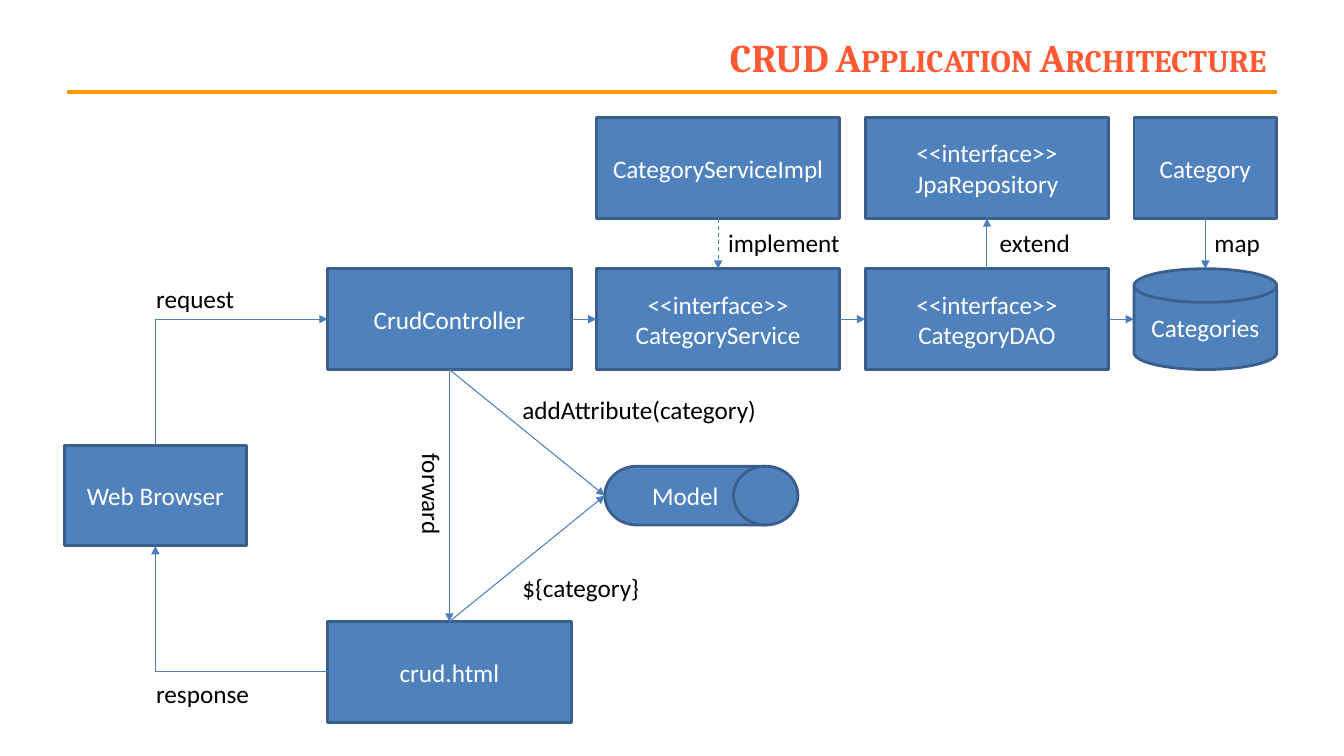
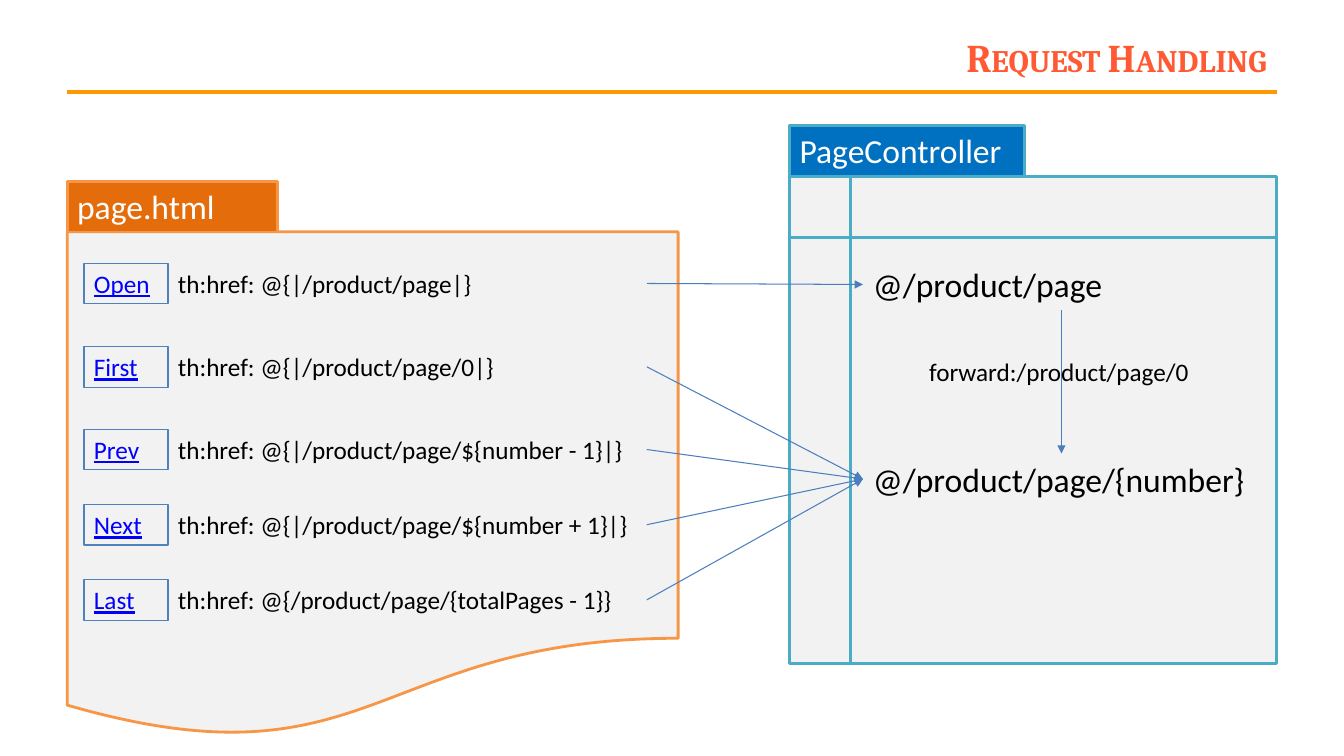
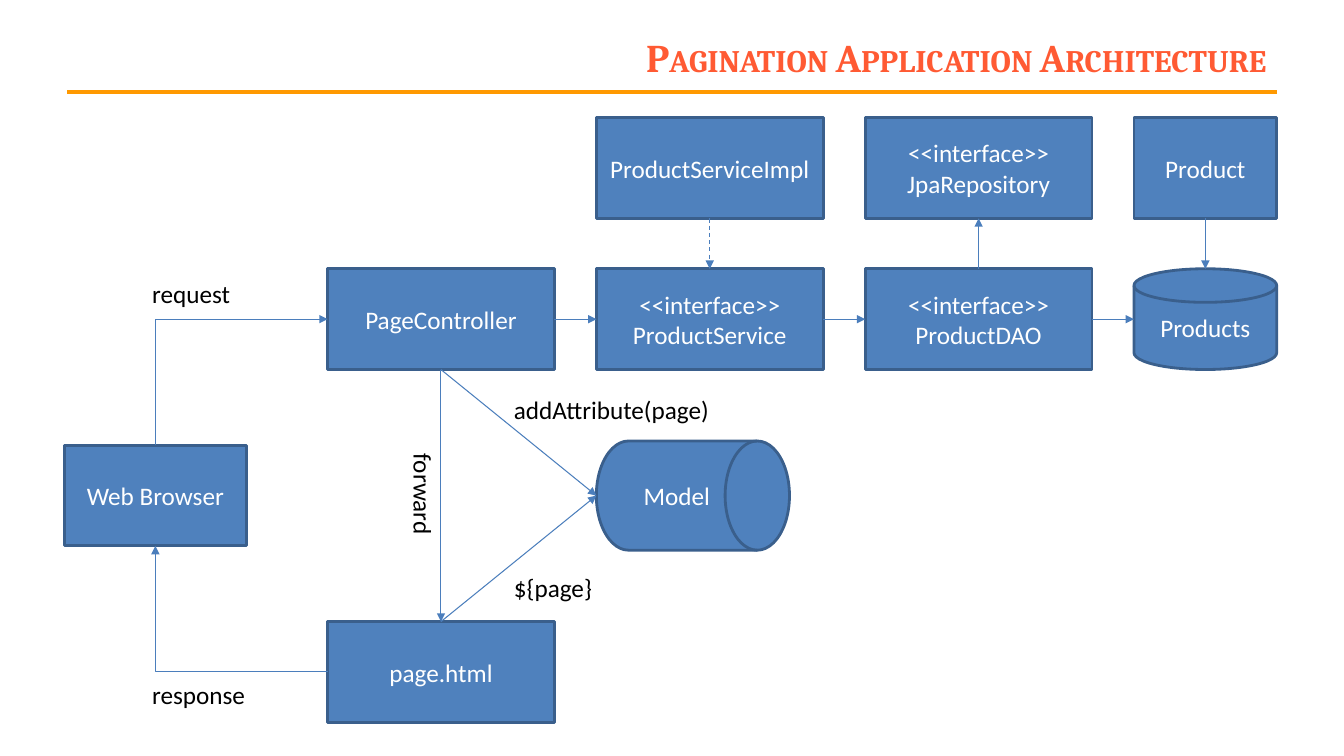
from lxml.etree import SubElement
from pptx import Presentation
from pptx.dml.color import RGBColor
from pptx.enum.dml import MSO_LINE
from pptx.enum.shapes import MSO_CONNECTOR, MSO_SHAPE
from pptx.enum.text import MSO_ANCHOR, MSO_AUTO_SIZE, PP_ALIGN
from pptx.oxml.ns import qn
from pptx.util import Pt

TOP, LEFT, BOTTOM, RIGHT = range(4)


def rgb(value):
    return RGBColor.from_string(value)


class Deck:
    """Shared style and the slide being drawn; lengths are in points."""

    BLUE, BLUE_EDGE, ARROW = "4F81BD", "3A5F8C", "4B7EBC"
    TITLE, RULE, PANEL = "FF5A33", "FF9900", "F2F2F2"
    WHITE, BLACK, LINK = "FFFFFF", "000000", "0000FF"
    BODY_FONT, TITLE_FONT = "Calibri", "Cambria"

    def __init__(self):
        self.presentation = Presentation()
        self.presentation.slide_width = Pt(960)
        self.presentation.slide_height = Pt(540)
        self.slide = None

    def new_slide(self, title):
        self.slide = self.presentation.slides.add_slide(self.presentation.slide_layouts[6])
        self.line((48, 66), (912, 66), self.RULE, 3)
        heading = self.slide.shapes.add_textbox(Pt(176), Pt(21.6), Pt(736), Pt(38))
        self.add_text(heading, title, 28, self.TITLE, PP_ALIGN.RIGHT, MSO_ANCHOR.MIDDLE,
                      font=self.TITLE_FONT, bold=True, small_caps=True)

    def add_text(self, holder, text, size, color, align=PP_ALIGN.LEFT, anchor=MSO_ANCHOR.TOP,
                 font=BODY_FONT, bold=False, underline=False, small_caps=False, wrap=True):
        frame = holder.text_frame
        frame.word_wrap = wrap
        frame.vertical_anchor = anchor
        for index, words in enumerate(text.split("\n")):
            paragraph = frame.add_paragraph() if index else frame.paragraphs[0]
            paragraph.alignment = align
            run = paragraph.add_run()
            run.text = words
            run.font.name, run.font.size = font, Pt(size)
            run.font.bold, run.font.underline = bold, underline
            run.font.color.rgb = rgb(color)
            if small_caps:
                run.font._element.set("cap", "small")

    def shape(self, preset, frame, fill=None, edge=BLUE_EDGE, weight=2):
        shape = self.slide.shapes.add_shape(preset, *map(Pt, frame))
        shape.shadow.inherit = False
        if fill:
            shape.fill.solid()
            shape.fill.fore_color.rgb = rgb(fill)
        else:
            shape.fill.background()
        shape.line.color.rgb = rgb(edge)
        shape.line.width = Pt(weight)
        return shape

    def node(self, text, frame, preset=MSO_SHAPE.RECTANGLE):
        node = self.shape(preset, frame, self.BLUE)
        self.add_text(node, text, 18, self.WHITE, PP_ALIGN.CENTER, MSO_ANCHOR.MIDDLE)
        return node

    def tab(self, text, frame, fill, edge):
        tab = self.shape(MSO_SHAPE.RECTANGLE, frame, fill, edge)
        self.add_text(tab, text, 24, self.WHITE)

    def link(self, text, frame):
        link = self.shape(MSO_SHAPE.RECTANGLE, frame, None, self.BLUE, 0.75)
        self.add_text(link, text, 18, self.LINK, underline=True)

    def label(self, text, frame, size=18, wrap=False, rotation=0):
        label = self.slide.shapes.add_textbox(*map(Pt, frame))
        self.add_text(label, text, size, self.BLACK, wrap=wrap)
        label.text_frame.auto_size = MSO_AUTO_SIZE.SHAPE_TO_FIT_TEXT
        label.rotation = rotation
        return label

    def line(self, start, end, color, weight, kind=MSO_CONNECTOR.STRAIGHT,
             dashed=False, arrow=False):
        line = self.slide.shapes.add_connector(kind, *map(Pt, start + end))
        line.line.color.rgb = rgb(color)
        line.line.width = Pt(weight)
        if dashed:
            line.line.dash_style = MSO_LINE.DASH
        properties = line.element.spPr
        if arrow:
            SubElement(properties.find(qn("a:ln")), qn("a:tailEnd"), type="triangle")
        SubElement(properties, qn("a:effectLst"))
        return line

    @staticmethod
    def side_point(shape, side):
        across = {LEFT: 0, RIGHT: 1}.get(side, 0.5)
        down = {TOP: 0, BOTTOM: 1}.get(side, 0.5)
        return ((shape.left + across * shape.width) / Pt(1),
                (shape.top + down * shape.height) / Pt(1))

    def arrow(self, source, source_side, target, target_side,
              kind=MSO_CONNECTOR.STRAIGHT, dashed=False):
        arrow = self.line(self.side_point(source, source_side),
                          self.side_point(target, target_side),
                          self.ARROW, 0.75, kind, dashed, arrow=True)
        for shape, side, join in ((source, source_side, arrow.begin_connect),
                                  (target, target_side, arrow.end_connect)):
            if shape.element.spPr.find(qn("a:prstGeom")).get("prst") == "rect":
                join(shape, side)
        return arrow

    def elbow(self, source, source_side, target, target_side):
        elbow = self.arrow(source, source_side, target, target_side, MSO_CONNECTOR.ELBOW)
        properties = elbow.element.spPr
        properties.find(qn("a:prstGeom")).set("prst", "bentConnector2")
        if source_side in (TOP, BOTTOM):
            # A vertical first leg needs the frame turned by 90 degrees
            width, height = elbow.width, elbow.height
            elbow.left += (width - height) // 2
            elbow.top += (height - width) // 2
            elbow.width, elbow.height = height, width
            for name, value in (("rot", "5400000"), ("flipH", "1"), ("flipV", "1")):
                properties.find(qn("a:xfrm")).set(name, value)


def architecture(deck, title, entity, table, controller_name, view_name, node_width,
                 drum_frame, attribute, attribute_widths, request_at, response_top,
                 relations=()):
    deck.new_slide(title)
    columns = [234 + 192 * index for index in range(4)]
    upper, middle, lower, height = 84, 192, 444, 72

    def cell(column, top):
        return columns[column], top, 102 if column == 3 else node_width, height

    # Layers of the application
    controller = deck.node(controller_name, cell(0, middle))
    service = deck.node(f"<<interface>>\n{entity}Service", cell(1, middle))
    dao = deck.node(f"<<interface>>\n{entity}DAO", cell(2, middle))
    storage = deck.node(table, cell(3, middle), MSO_SHAPE.FLOWCHART_MAGNETIC_DISK)
    implementation = deck.node(f"{entity}ServiceImpl", cell(1, upper))
    repository = deck.node("<<interface>>\nJpaRepository", cell(2, upper))
    entity_class = deck.node(entity, cell(3, upper))
    view = deck.node(view_name, cell(0, lower))
    browser = deck.node("Web Browser", (46, 318, 130, height))
    model = deck.node("Model", drum_frame, MSO_SHAPE.FLOWCHART_DIRECT_ACCESS_STORAGE)

    # Calls and relations
    for caller, called in ((controller, service), (service, dao), (dao, storage)):
        deck.arrow(caller, RIGHT, called, LEFT)
    deck.arrow(implementation, BOTTOM, service, TOP, dashed=True)
    deck.arrow(dao, TOP, repository, BOTTOM)
    deck.arrow(entity_class, BOTTOM, storage, TOP)
    deck.arrow(controller, BOTTOM, view, TOP)
    deck.arrow(controller, BOTTOM, model, LEFT)
    deck.arrow(view, TOP, model, LEFT)
    deck.elbow(browser, TOP, controller, LEFT)
    deck.elbow(view, LEFT, browser, BOTTOM)

    # Labels
    center = columns[0] + node_width / 2
    add_width, read_width = attribute_widths
    deck.label(f"addAttribute({attribute})", (center + 45, 278, add_width, 29))
    deck.label(f"${{{attribute}}}", (center + 45, 405, read_width, 29))
    deck.label("forward", (center - 49, 339, 73, 29), rotation=90)
    request_left, request_top = request_at
    deck.label("request", (request_left, request_top, 70.6, 29))
    deck.label("response", (request_left, response_top, 81.4, 29))
    for text, left, width in relations:
        deck.label(text, (left, 159, width, 29))


def request_handling(deck):
    deck.new_slide("Request Handling")

    # Page and controller panels
    orange, teal = "F79646", "4BACC6"
    deck.shape(MSO_SHAPE.FLOWCHART_DOCUMENT, (48, 165.6, 436.4, 362), deck.PANEL, orange)
    deck.shape(MSO_SHAPE.FLOWCHART_INTERNAL_STORAGE, (564, 126, 348, 348), deck.PANEL, teal)
    deck.tab("page.html", (48, 129.4, 150, 36.4), "E46C0A", orange)
    deck.tab("PageController", (564, 89.4, 168, 36.4), "0070C0", teal)

    # Controller routes
    page_route = deck.label("@/product/page", (616.4, 185, 283.6, 36.4), 24, wrap=True)
    number_route = deck.label("@/product/page/{number}", (616.4, 324, 283.6, 36.4), 24,
                              wrap=True)
    deck.arrow(page_route, BOTTOM, number_route, TOP)
    deck.label("forward:/product/page/0", (656.6, 250.6, 203, 29))

    # Links of the page and the routes they reach
    links = (
        ("Open", "@{|/product/page|}", 188, page_route),
        ("First", "@{|/product/page/0|}", 247.5, number_route),
        ("Prev", "@{|/product/page/${number - 1}|}", 306.6, number_route),
        ("Next", "@{|/product/page/${number + 1}|}", 360.3, number_route),
        ("Last", "@{/product/page/{totalPages - 1}}", 414, number_route),
    )
    for name, address, top, route in links:
        deck.link(name, (60, top, 60, 29))
        href = deck.label(f"th:href: {address}", (120, top, 342, 29), wrap=True)
        deck.arrow(href, RIGHT, route, LEFT)


def main():
    deck = Deck()
    architecture(deck, "CRUD Application Architecture", "Category", "Categories",
                 "CrudController", "crud.html", 174, (432, 333, 138, 42),
                 "category", (183.6, 98.6), (104.4, 198.6), 481,
                 (("implement", 513, 95), ("extend", 707, 65.6), ("map", 860.4, 47.6)))
    request_handling(deck)
    architecture(deck, "Pagination Application Architecture", "Product", "Products",
                 "PageController", "page.html", 162, (426, 315, 138, 78),
                 "page", (155.6, 71.4), (101.6, 195), 481.6)
    deck.presentation.save("out.pptx")


if __name__ == "__main__":
    main()
